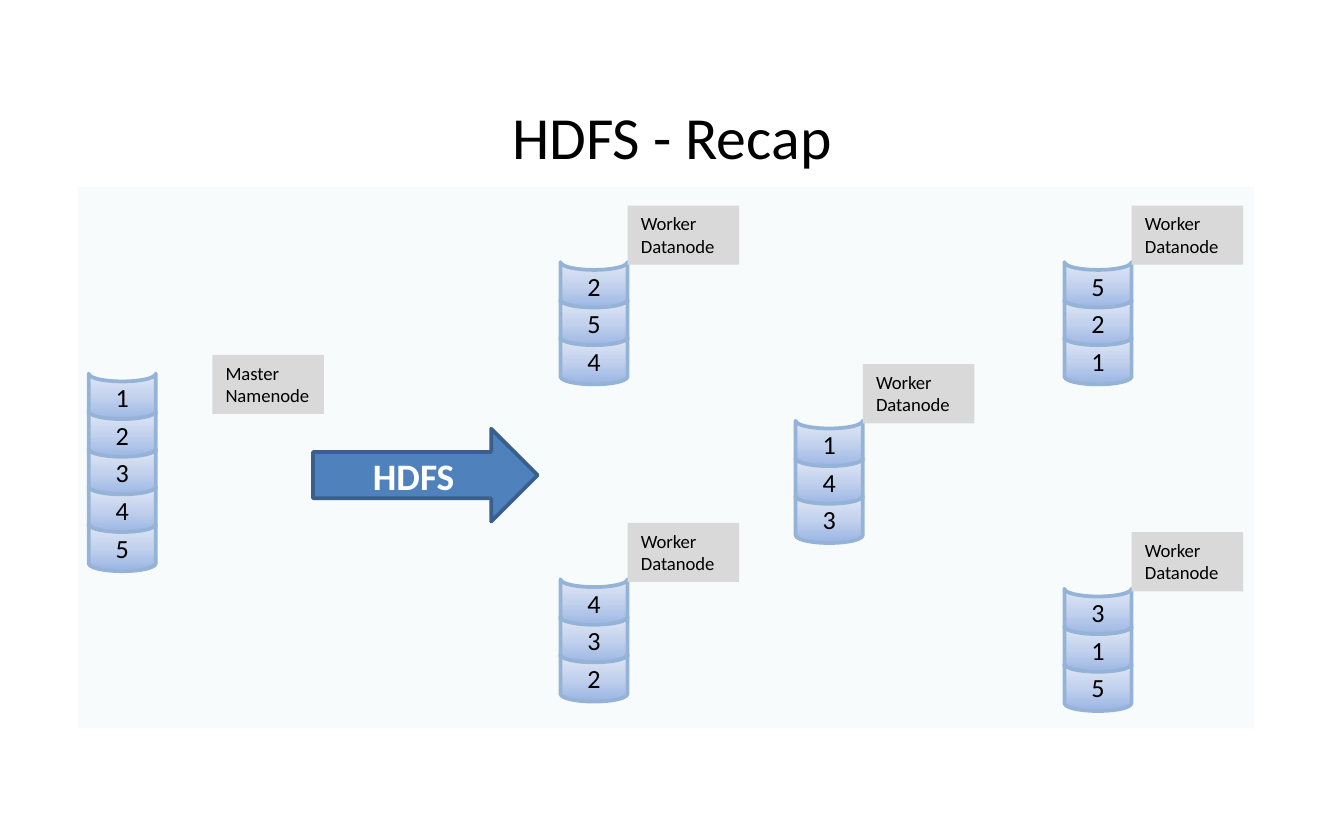
from pptx import Presentation
from pptx.dml.color import RGBColor
from pptx.enum.shapes import MSO_SHAPE
from pptx.enum.text import MSO_ANCHOR, MSO_AUTO_SIZE, PP_ALIGN
from pptx.oxml import parse_xml
from pptx.oxml.ns import nsdecls, qn
from pptx.util import Inches, Pt

RECTANGLE = MSO_SHAPE.RECTANGLE
BLOCK_SHAPE = MSO_SHAPE.FLOWCHART_STORED_DATA
RIGHT_ARROW = MSO_SHAPE.RIGHT_ARROW
LEFT, CENTER = PP_ALIGN.LEFT, PP_ALIGN.CENTER
TOP, MIDDLE = MSO_ANCHOR.TOP, MSO_ANCHOR.MIDDLE
FIT_SHAPE = MSO_AUTO_SIZE.SHAPE_TO_FIT_TEXT

TITLE_LAYOUT = 5
FONT = "Calibri"
BLOCK_WIDTH, BLOCK_HEIGHT, BLOCK_STEP = 0.5, 0.35, 0.28
TAG_WIDTH, TAG_HEIGHT = 0.83, 0.44
STACK_DROP = 0.42
BLOCK_GRADIENT = ((0, "9AB5E4"), (50, "C2D1ED"), (100, "E1E8F5"))

MASTER_BLOCKS = "12345"
WORKERS = (
    (4.17, 1.53, "254"),
    (7.92, 1.53, "521"),
    (7.92, 3.96, "315"),
    (4.17, 3.89, "432"),
    (5.92, 2.71, "143"),
)


def color(value):
    return RGBColor.from_string(value)


def add_box(slide, kind, left, top, width, height, fill=None, line=None):
    shape = slide.shapes.add_shape(
        kind, Inches(left), Inches(top), Inches(width), Inches(height))
    shape.shadow.inherit = False
    if fill:
        shape.fill.solid()
        shape.fill.fore_color.rgb = color(fill)
    if line:
        shape.line.color.rgb = color(line)
        shape.line.width = Pt(2)
    else:
        shape.line.fill.background()
    return shape


def write(shape, lines, size, ink="000000", align=CENTER, anchor=MIDDLE, bold=False):
    frame = shape.text_frame
    frame.word_wrap = True
    frame.vertical_anchor = anchor
    for index, line in enumerate(lines):
        paragraph = frame.add_paragraph() if index else frame.paragraphs[0]
        paragraph.alignment = align
        run = paragraph.add_run()
        run.text = line
        run.font.name = FONT
        run.font.size = Pt(size)
        run.font.bold = bold
        run.font.color.rgb = color(ink)


def add_title(slide, left, top, width, height):
    title = slide.shapes.title
    title.left, title.top = Inches(left), Inches(top)
    title.width, title.height = Inches(width), Inches(height)
    write(title, ["HDFS - Recap"], 32)


def add_panel(slide, left, top, width, height):
    panel = add_box(slide, RECTANGLE, left, top, width, height, "DBEEF4")
    fill_color = panel.element.spPr.find(qn("a:solidFill"))[0]
    fill_color.append(parse_xml(f'<a:alpha {nsdecls("a")} val="20000"/>'))


def fill_gradient(shape):
    stops = "".join(
        f'<a:gs pos="{position * 1000}"><a:srgbClr val="{value}"/></a:gs>'
        for position, value in BLOCK_GRADIENT)
    gradient = parse_xml(
        f'<a:gradFill {nsdecls("a")} rotWithShape="1"><a:gsLst>{stops}</a:gsLst>'
        '<a:lin ang="0" scaled="0"/></a:gradFill>')
    shape.element.spPr.find(qn("a:prstGeom")).addnext(gradient)


def add_stack(slide, left, top, blocks):
    turn = (BLOCK_WIDTH - BLOCK_HEIGHT) / 2
    for index, label in enumerate(blocks):
        block = add_box(
            slide, BLOCK_SHAPE, left + turn, top + index * BLOCK_STEP - turn,
            BLOCK_HEIGHT, BLOCK_WIDTH, line="95B3D7")
        fill_gradient(block)
        block.rotation = 270
        write(block, [label], 14)
        block.element.find(".//" + qn("a:bodyPr")).set("vert", "vert")


def add_tag(slide, left, top, lines):
    tag = add_box(slide, RECTANGLE, left, top, TAG_WIDTH, TAG_HEIGHT, "D9D9D9")
    write(tag, lines, 10, align=LEFT, anchor=TOP)
    tag.text_frame.auto_size = FIT_SHAPE


def add_master(slide, left, top):
    add_stack(slide, left, top + 0.14, MASTER_BLOCKS)
    add_tag(slide, left + 0.92, top, ["Master", "Namenode"])


def add_worker(slide, left, top, blocks):
    add_stack(slide, left, top + STACK_DROP, blocks)
    add_tag(slide, left + BLOCK_WIDTH, top, ["Worker", "Datanode"])


def add_arrow(slide, left, top, width, height):
    arrow = add_box(slide, RIGHT_ARROW, left, top, width, height, "4F81BD", "3A5F8C")
    write(arrow, ["HDFS"], 20, ink="FFFFFF", bold=True)


def main():
    presentation = Presentation()
    presentation.slide_width = Inches(10)
    presentation.slide_height = Inches(6.25)
    slide = presentation.slides.add_slide(presentation.slide_layouts[TITLE_LAYOUT])
    add_title(slide, 0.5, 0.49, 9, 1.04)
    add_panel(slide, 0.58, 1.39, 8.75, 4.03)
    add_master(slide, 0.66, 2.64)
    for left, top, blocks in WORKERS:
        add_worker(slide, left, top, blocks)
    add_arrow(slide, 2.33, 3.19, 1.67, 0.69)
    presentation.save("out.pptx")


if __name__ == "__main__":
    main()
